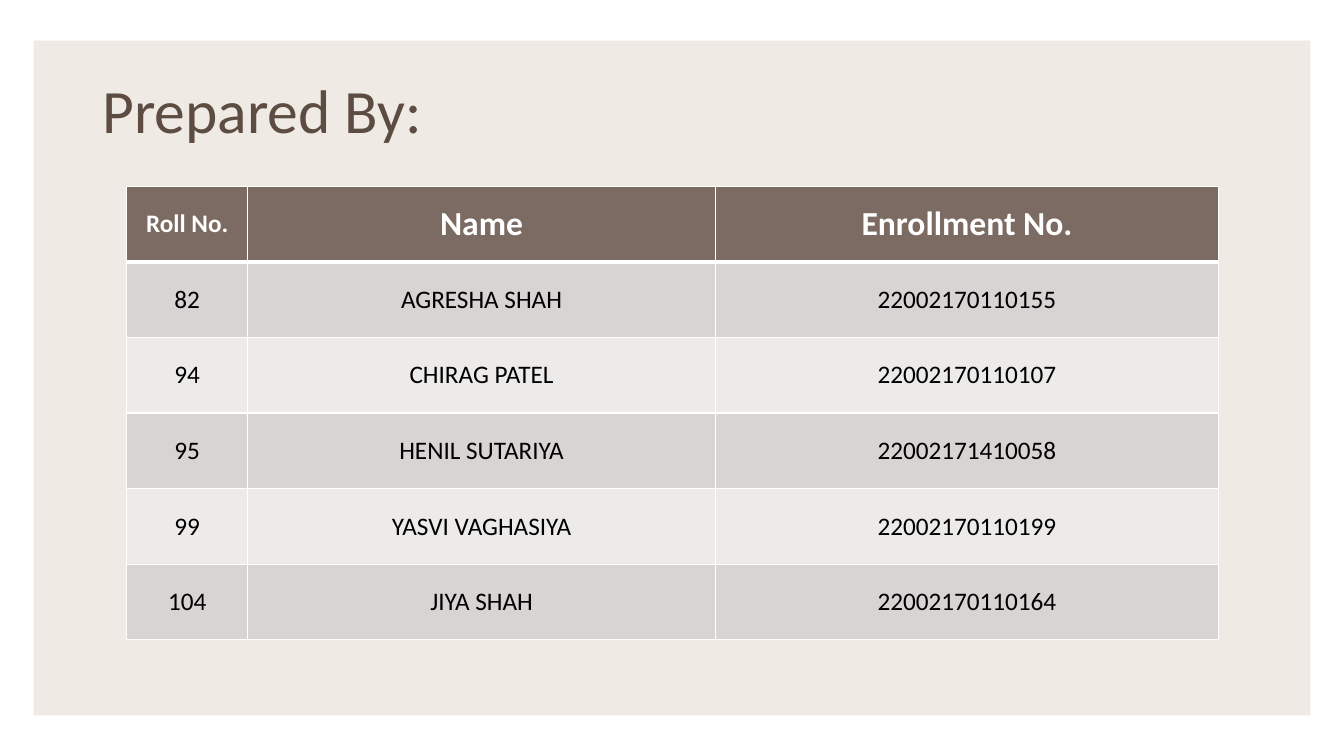
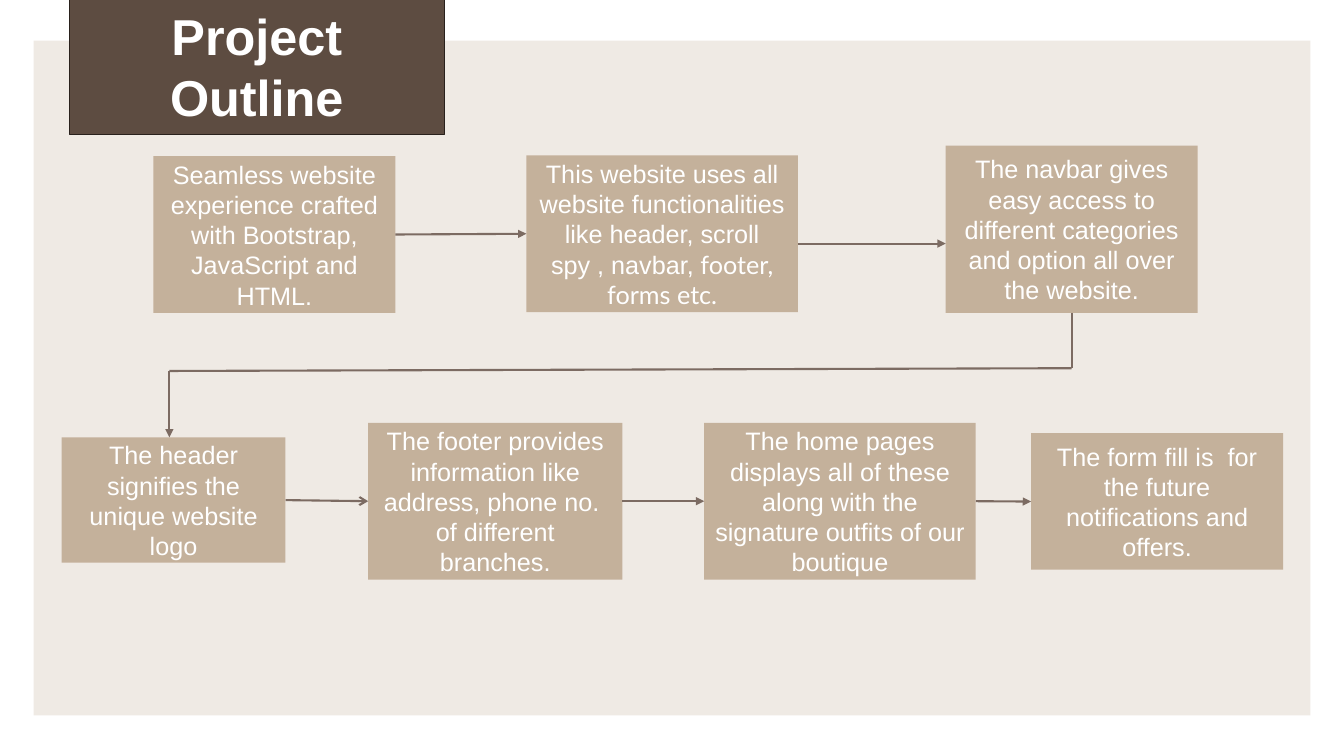
import itertools
from collections import namedtuple
from dataclasses import dataclass

import pptx
import pptx.dml.color
import pptx.enum.shapes
import pptx.enum.text
import pptx.oxml
import pptx.oxml.ns
import pptx.util

Pt = pptx.util.Pt
Align = pptx.enum.text.PP_ALIGN
Box = namedtuple("Box", "left top width height")


@dataclass(frozen=True)
class Theme:
    """Colours, fonts and type sizes of the deck."""
    panel: str = "EFEAE4"
    dark: str = "5D4C41"
    edge: str = "29211C"
    tan: str = "C4B19B"
    brown: str = "7C6B62"
    bands: tuple = ("D7D4D3", "ECEBEA")
    white: str = "FFFFFF"
    black: str = "000000"
    head: str = "Calibri"
    body: str = "Arial"
    accent: str = "Lato"
    title: int = 44
    banner: int = 36
    label: int = 24
    text: int = 18


THEME = Theme()
PANEL = Box(24, 29, 912, 482)

PEOPLE = [
    ("Roll No.", "Name", "Enrollment No."),
    ("82", "AGRESHA SHAH", "22002170110155"),
    ("94", "CHIRAG PATEL", "22002170110107"),
    ("95", "HENIL SUTARIYA", "22002171410058"),
    ("99", "YASVI VAGHASIYA", "22002170110199"),
    ("104", "JIYA SHAH", "22002170110164"),
]

STEPS = {
    "stack": (Box(85.5, 82.5, 173, 112),
              "Seamless website experience crafted with Bootstrap, JavaScript and HTML."),
    "site": (Box(352, 82, 194, 112),
             [("This website uses all website functionalities like header, scroll spy , navbar,",
               THEME.body), (" footer, forms etc.", THEME.accent)]),
    "navbar": (Box(651.5, 75, 180, 119.5),
               "The navbar gives easy access to different categories and option all over the website."),
    "header": (Box(20, 283.5, 160, 89.5), "The header signifies the unique website logo"),
    "footer": (Box(239, 273, 181.5, 112),
               "The footer provides information like address, phone no.  of different branches."),
    "home": (Box(479, 273, 194, 112),
             "The home pages displays all of these along with the signature outfits of our boutique"),
    "form": (Box(712.5, 280.5, 180, 97.5),
             "The form fill is  for the future notifications and offers."),
}


def rgb(code):
    """Turn a hex code into a colour."""
    return pptx.dml.color.RGBColor.from_string(code)


def write(frame, text, font=THEME.body, size=THEME.text, color=THEME.white,
          bold=False, align=Align.CENTER, space=None):
    """Write one paragraph, given as text or as pairs of text and font."""
    frame.word_wrap = True
    frame.vertical_anchor = pptx.enum.text.MSO_ANCHOR.MIDDLE
    para = frame.paragraphs[0]
    para.alignment = align
    if space:
        para.line_spacing = space
    for words, face in [(text, font)] if isinstance(text, str) else text:
        run = para.add_run()
        run.text = words
        run.font.name = face
        run.font.size = Pt(size)
        run.font.bold = bold
        run.font.color.rgb = rgb(color)


def place(box, area):
    """Give the lengths of an area that is relative to a box."""
    return [Pt(n) for n in (box.left + area.left, box.top + area.top, area.width, area.height)]


def block(slide, box, area, fill, edge=None):
    """Add a flat rectangle."""
    shape = slide.shapes.add_shape(
        pptx.enum.shapes.MSO_SHAPE.RECTANGLE, *place(box, area))
    shape.shadow.inherit = False
    shape.fill.solid()
    shape.fill.fore_color.rgb = rgb(fill)
    if edge:
        shape.line.color.rgb = rgb(edge)
        shape.line.width = Pt(1)
    else:
        shape.line.fill.background()
    return shape


def line(slide, box, start, end, head=None):
    """Add a straight line between two points of a box."""
    ends = [Pt(n + m) for point in (start, end) for n, m in zip(point, box)]
    link = slide.shapes.add_connector(pptx.enum.shapes.MSO_CONNECTOR.STRAIGHT, *ends)
    link.line.color.rgb = rgb(THEME.brown)
    link.line.width = Pt(1.5)
    if head:
        tip = pptx.oxml.parse_xml(
            f'<a:tailEnd {pptx.oxml.ns.nsdecls("a")} type="{head}"/>')
        link.line._get_or_add_ln().append(tip)
    link._element.spPr.append(
        pptx.oxml.parse_xml(f'<a:effectLst {pptx.oxml.ns.nsdecls("a")}/>'))
    return link


def border(cell, side, width):
    """Draw one white side of a cell."""
    cell._tc.get_or_add_tcPr().append(pptx.oxml.parse_xml(
        f'<a:ln{side} {pptx.oxml.ns.nsdecls("a")} w="{int(Pt(width))}"><a:solidFill>'
        f'<a:srgbClr val="{THEME.white}"/></a:solidFill></a:ln{side}>'))


def page(deck):
    """Add a blank slide with the shared panel."""
    slide = deck.slides.add_slide(deck.slide_layouts[6])
    block(slide, PANEL, Box(0, 0, PANEL.width, PANEL.height), THEME.panel)
    return slide


def roster(slide, box):
    """Place the table of people."""
    grid = slide.shapes.add_table(
        len(PEOPLE), len(PEOPLE[0]), *place(box, Box(0, 0, box.width, box.height))).table
    grid.horz_banding = False
    for col, width in zip(grid.columns, (86.5, 334, 359.5)):
        col.width = Pt(width)
    for r, person in enumerate(PEOPLE):
        grid.rows[r].height = Pt(box.height / len(PEOPLE))
        top = r == 0
        for c, words in enumerate(person):
            cell = grid.cell(r, c)
            for side in "LRTB":
                border(cell, side, 3 if (r, side) in ((0, "B"), (1, "T")) else 1)
            cell.fill.solid()
            cell.fill.fore_color.rgb = rgb(THEME.brown if top else THEME.bands[(r - 1) % 2])
            cell.vertical_anchor = pptx.enum.text.MSO_ANCHOR.MIDDLE
            write(cell.text_frame, words, font=THEME.head, bold=top,
                  size=THEME.label if top and c else THEME.text,
                  color=THEME.white if top else THEME.black)


def team(deck):
    """Build the slide of authors."""
    slide = page(deck)
    title = slide.shapes.add_textbox(*place(PANEL, Box(42, 0, 828, 104)))
    write(title.text_frame, "Prepared By:", font=THEME.head, size=THEME.title,
          color=THEME.dark, align=Align.LEFT, space=0.9)
    roster(slide, Box(90.5, 133, 780, 324))


def flow(slide, box):
    """Place the steps and the arrows between them."""
    nodes = {}
    for name, (area, words) in STEPS.items():
        nodes[name] = block(slide, box, area, THEME.tan)
        write(nodes[name].text_frame, words)
    for left, right, head in (("stack", "site", "triangle"), ("header", "footer", "arrow"),
                              ("footer", "home", "triangle"), ("home", "form", "triangle")):
        link = line(slide, box, (0, 0), (1, 1), head)
        link.begin_connect(nodes[left], 3)
        link.end_connect(nodes[right], 1)
    site, bar, head = (STEPS[name][0] for name in ("site", "navbar", "header"))
    line(slide, box, (site.left + site.width, 145), (bar.left, 145), "triangle")
    mid = bar.left + bar.width / 2
    turns = [(mid, bar.top + bar.height), (mid, 234), (97, 236), (97, head.top)]
    tips = (None, None, "triangle")
    for (start, end), tip in zip(itertools.pairwise(turns), tips):
        line(slide, box, start, end, tip)


def outline(deck):
    """Build the slide of project steps."""
    slide = page(deck)
    banner = block(slide, PANEL, Box(25.5, -31, 268, 98), THEME.dark, THEME.edge)
    write(banner.text_frame, "Project Outline", size=THEME.banner, bold=True)
    flow(slide, PANEL)


def main():
    """Build and save the deck."""
    deck = pptx.Presentation()
    deck.slide_width, deck.slide_height = Pt(960), Pt(540)
    team(deck)
    outline(deck)
    deck.save("out.pptx")


if __name__ == "__main__":
    main()
